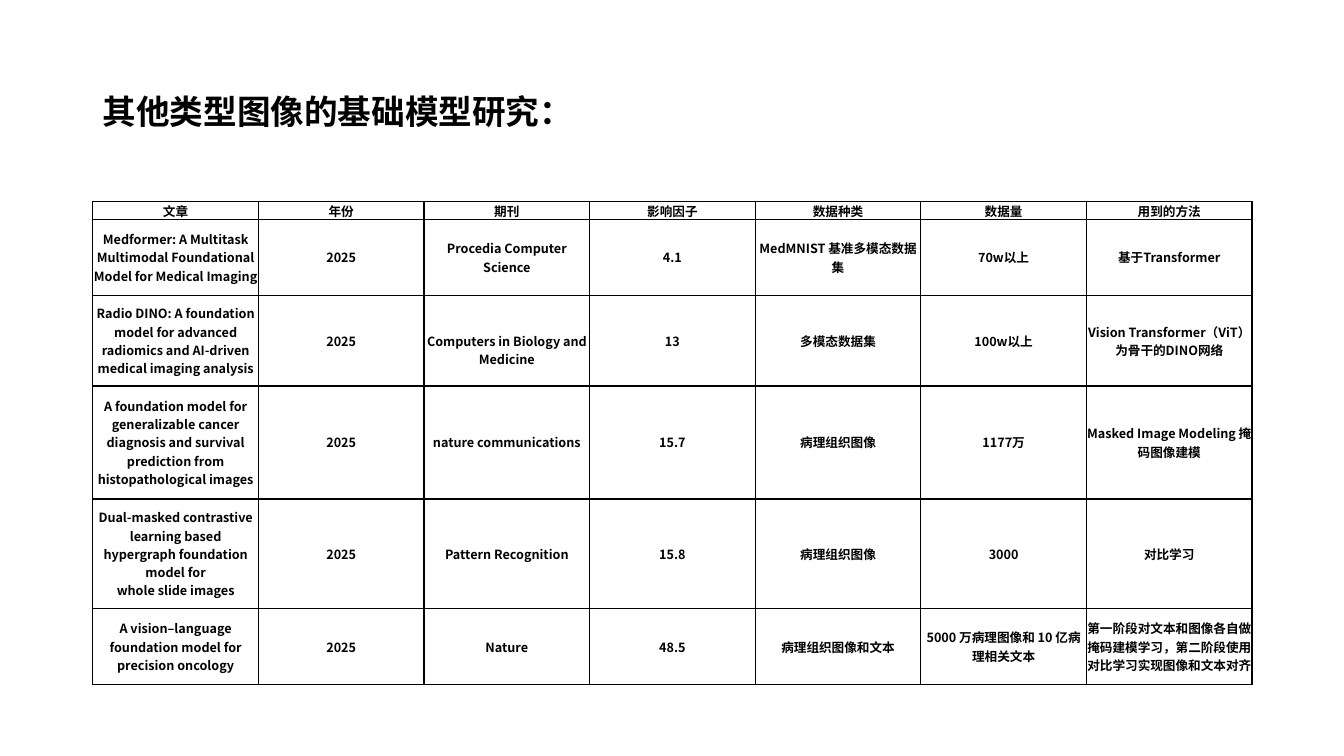
"""Builds a slide with a table of foundation model studies for other image types."""
import pptx
import pptx.dml.color
import pptx.enum.text
import pptx.oxml
import pptx.oxml.ns
import pptx.util

Inches = pptx.util.Inches
Pt = pptx.util.Pt
PP_ALIGN = pptx.enum.text.PP_ALIGN
MIDDLE = pptx.enum.text.MSO_ANCHOR.MIDDLE

FONT = "Noto Sans CJK SC"
BLACK = "000000"
TITLE = "其他类型图像的基础模型研究："
STUDIES = [
    ("文章", "年份", "期刊", "影响因子", "数据种类", "数据量", "用到的方法"),
    ("Medformer: A Multitask Multimodal Foundational Model for Medical Imaging",
     "2025", "Procedia Computer Science", "4.1",
     "MedMNIST 基准多模态数据集", "70w以上", "基于Transformer"),
    ("Radio DINO: A foundation model for advanced radiomics and AI-driven medical imaging analysis",
     "2025", "Computers in Biology and Medicine", "13",
     "多模态数据集", "100w以上", "Vision Transformer（ViT）为骨干的DINO网络"),
    ("A foundation model for generalizable cancer diagnosis and survival prediction from histopathological images",
     "2025", "nature communications", "15.7",
     "病理组织图像", "1177万", "Masked Image Modeling 掩码图像建模"),
    ("Dual-masked contrastive learning based hypergraph foundation model for\nwhole slide images",
     "2025", "Pattern Recognition", "15.8",
     "病理组织图像", "3000", "对比学习"),
    ("A vision–language foundation model for precision oncology",
     "2025", "Nature", "48.5", "病理组织图像和文本",
     "5000 万病理图像和 10 亿病理相关文本",
     "第一阶段对文本和图像各自做掩码建模学习，第二阶段使用对比学习实现图像和文本对齐"),
]
ROW_HEIGHTS = [0.18, 0.75, 0.9, 1.12, 1.09, 0.75]
LEFT, WIDTH = 0.92, 11.5
TABLE_TOP = 2
LOWERED_CELL, LOWERED_BY = (2, 2), 0.18


def rgb(value):
    return pptx.dml.color.RGBColor.from_string(value)


def write(tf, text, size=9, align=PP_ALIGN.CENTER, spacing=None):
    for i, line in enumerate(text.split("\n")):
        p = tf.add_paragraph() if i else tf.paragraphs[0]
        p.alignment = align
        p.line_spacing = spacing
        r = p.add_run()
        r.text = line
        r.font.size = Pt(size)
        r.font.bold = True
        r.font.color.rgb = rgb(BLACK)
        r.font.name = FONT
        ea = pptx.oxml.parse_xml(
            f'<a:ea {pptx.oxml.ns.nsdecls("a")} typeface="{FONT}"/>')
        r.font._element.append(ea)


def add_borders(cell):
    tc_pr = cell._tc.get_or_add_tcPr()
    for i, side in enumerate(("lnL", "lnR", "lnT", "lnB")):
        tc_pr.insert(i, pptx.oxml.parse_xml(
            f'<a:{side} {pptx.oxml.ns.nsdecls("a")} w="{Pt(1)}"><a:solidFill>'
            f'<a:srgbClr val="{BLACK}"/></a:solidFill></a:{side}>'))


def add_title(slide):
    sp = slide.shapes.add_textbox(Inches(LEFT), Inches(0.4), Inches(WIDTH), Inches(1.45))
    tf = sp.text_frame
    tf.word_wrap = True
    tf.vertical_anchor = MIDDLE
    write(tf, TITLE, size=24, align=PP_ALIGN.LEFT, spacing=0.9)


def add_studies(slide):
    n_rows, n_cols = len(STUDIES), len(STUDIES[0])
    table = slide.shapes.add_table(
        n_rows, n_cols, Inches(LEFT), Inches(TABLE_TOP),
        Inches(WIDTH), Inches(sum(ROW_HEIGHTS))).table
    table.first_row = False
    table.horz_banding = False
    for col in table.columns:
        col.width = Inches(WIDTH / n_cols)
    for i, (height, study) in enumerate(zip(ROW_HEIGHTS, STUDIES)):
        table.rows[i].height = Inches(height)
        for j, text in enumerate(study):
            cell = table.cell(i, j)
            cell.margin_left = cell.margin_right = cell.margin_bottom = 0
            cell.margin_top = Inches(LOWERED_BY if (i, j) == LOWERED_CELL else 0)
            cell.vertical_anchor = MIDDLE
            cell.fill.background()
            add_borders(cell)
            write(cell.text_frame, text)


def main():
    prs = pptx.Presentation()
    prs.slide_width, prs.slide_height = Inches(13.33), Inches(7.5)
    slide = prs.slides.add_slide(prs.slide_layouts[6])
    add_title(slide)
    add_studies(slide)
    prs.save("out.pptx")


if __name__ == "__main__":
    main()
